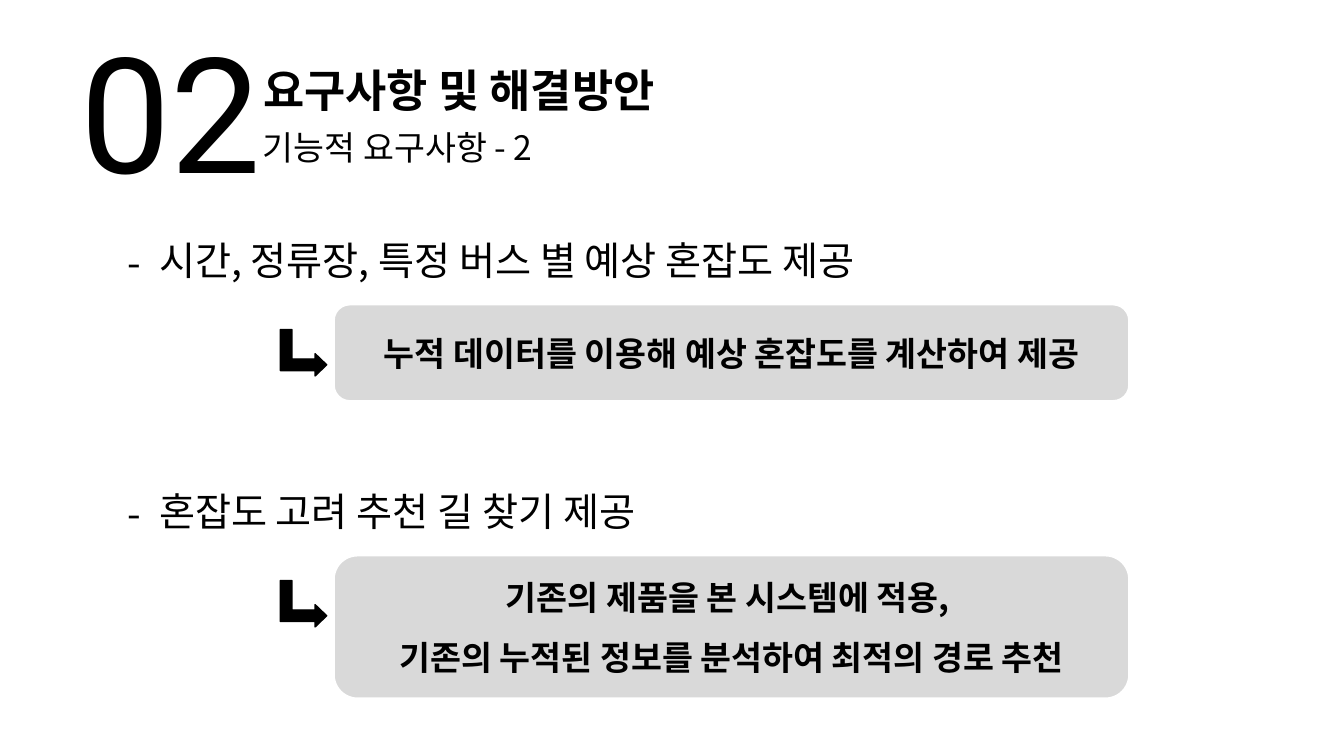
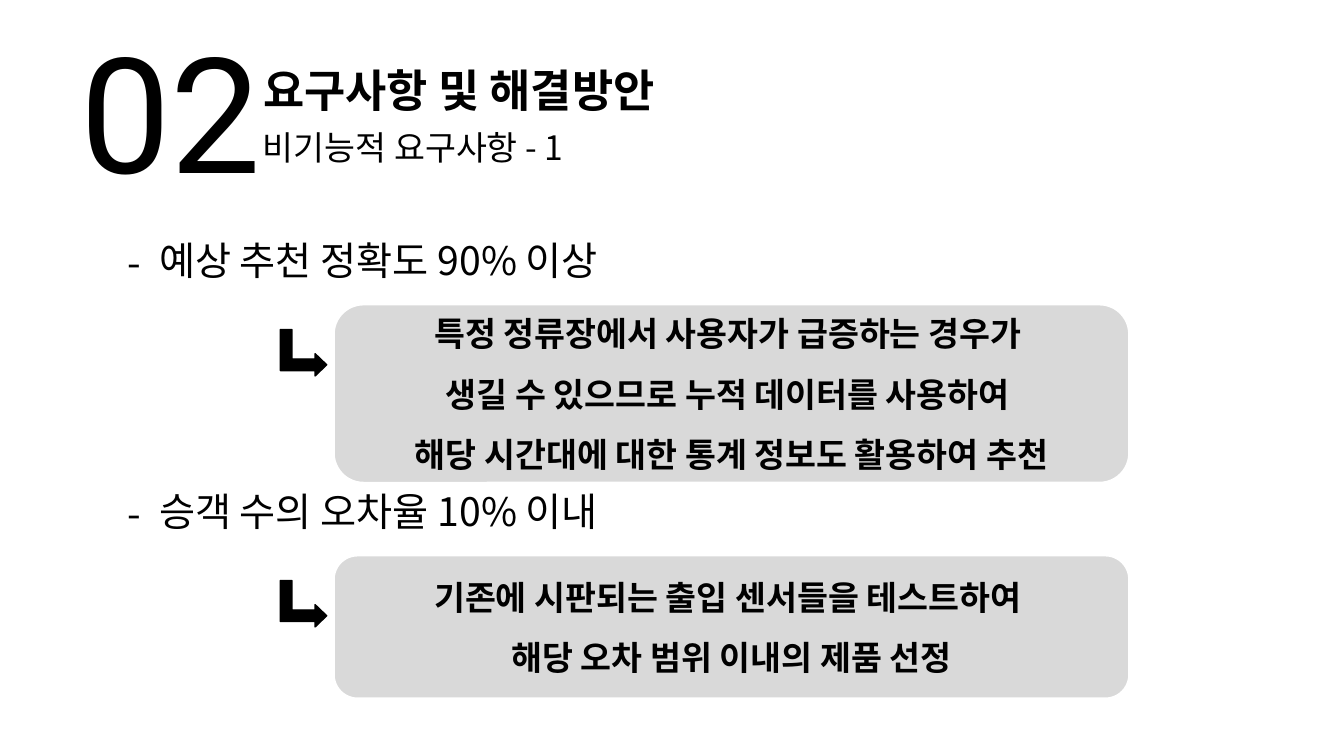
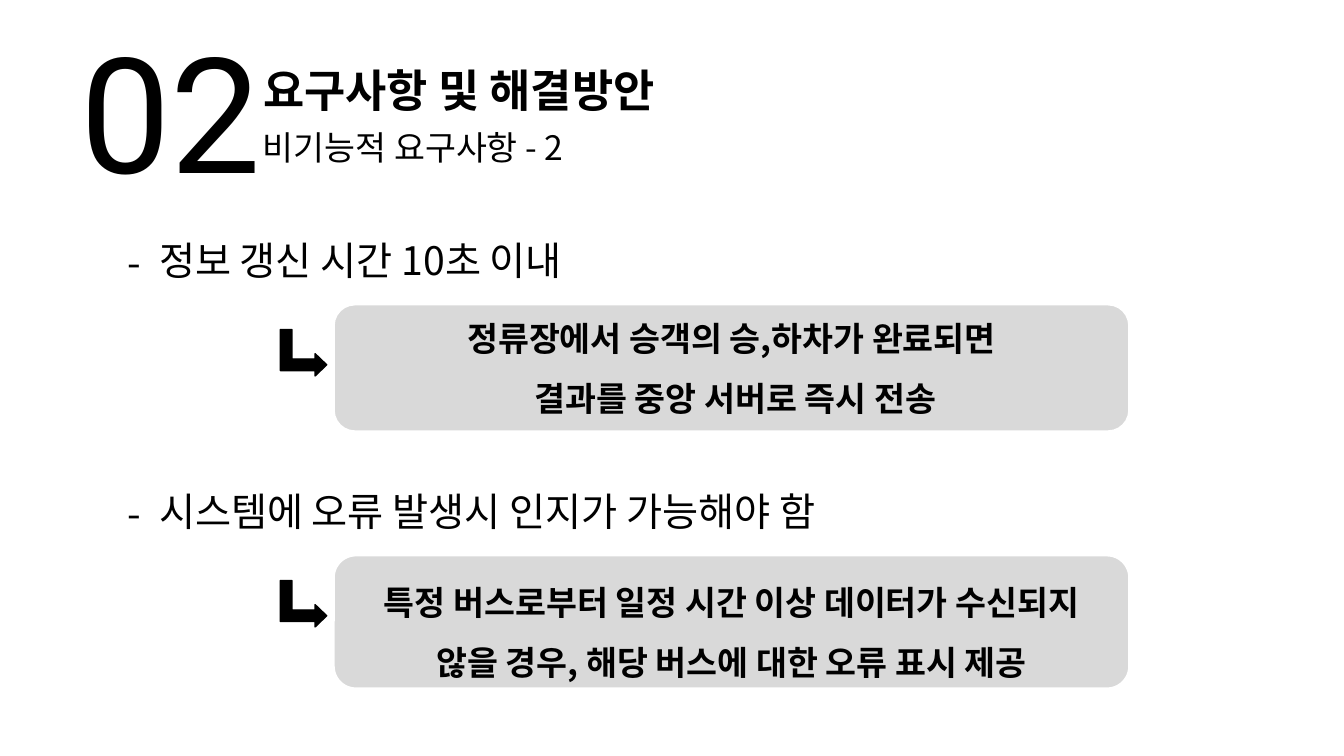
"""Build three slides that pair requirements with their solutions."""
from dataclasses import dataclass

from lxml import etree
from pptx import Presentation
from pptx import util as u
from pptx.dml.color import RGBColor
from pptx.enum import shapes, text
from pptx.oxml import ns

KOREAN = "Noto Sans CJK KR"
DIGITS = "Roboto"
BLACK, GREY, WHITE = "000000", "D9D9D9", "FFFFFF"
SECTION = "02"
HEADING = "요구사항 및 해결방안"
FIRST_TOP, ROW_STEP = 2.3, 2.49
INDENT = 0.31


@dataclass(frozen=True)
class Requirement:
    demand: str
    solution: tuple[str, ...]
    height: float
    first_spacing: float | None = None


@dataclass(frozen=True)
class Page:
    subtitle: str
    requirements: tuple[Requirement, ...]


PAGES = (
    Page("기능적 요구사항 - 2", (
        Requirement("시간, 정류장, 특정 버스 별 예상 혼잡도 제공",
                    ("누적 데이터를 이용해 예상 혼잡도를 계산하여 제공",), 0.96),
        Requirement("혼잡도 고려 추천 길 찾기 제공",
                    ("기존의 제품을 본 시스템에 적용, ",
                     "기존의 누적된 정보를 분석하여 최적의 경로 추천"), 1.42),
    )),
    Page("비기능적 요구사항 - 1", (
        Requirement("예상 추천 정확도 90% 이상",
                    ("특정 정류장에서 사용자가 급증하는 경우가 ",
                     "생길 수 있으므로 누적 데이터를 사용하여 ",
                     "해당 시간대에 대한 통계 정보도 활용하여 추천"), 1.77),
        Requirement("승객 수의 오차율 10% 이내",
                    ("기존에 시판되는 출입 센서들을 테스트하여 ",
                     "해당 오차 범위 이내의 제품 선정"), 1.42),
    )),
    Page("비기능적 요구사항 - 2", (
        Requirement("정보 갱신 시간 10초 이내",
                    ("정류장에서 승객의 승,하차가 완료되면",
                     " 결과를 중앙 서버로 즉시 전송"), 1.26),
        Requirement("시스템에 오류 발생시 인지가 가능해야 함",
                    ("특정 버스로부터 일정 시간 이상 데이터가 수신되지 않을 경우, "
                     "해당 버스에 대한 오류 표시 제공",), 1.32, 1.5),
    )),
)


def paint(color_format, color: str) -> None:
    """Set a colour from a hex string."""
    color_format.rgb = RGBColor.from_string(color)


def apply(target, values: dict) -> None:
    """Set each named attribute on the target."""
    for name, value in values.items():
        setattr(target, name, value)


def place(shape, left: float, top: float, width: float, height: float) -> None:
    """Move and size a shape, in inches."""
    apply(shape, {"left": u.Inches(left), "top": u.Inches(top),
                  "width": u.Inches(width), "height": u.Inches(height)})


def write(paragraph, words: str, size: float, bold: bool = False,
          face: str = KOREAN, align=text.PP_ALIGN.LEFT,
          spacing: float | None = None) -> None:
    """Write one formatted run into a paragraph."""
    apply(paragraph, {"alignment": align, "line_spacing": spacing})
    run = paragraph.add_run()
    run.text = words
    apply(run.font, {"size": u.Pt(size), "bold": bold, "name": face})
    paint(run.font.color, BLACK)
    east_asian = etree.SubElement(run.font._element, ns.qn("a:ea"))
    east_asian.set("typeface", face)


def set_frame(shape, wrap: bool = True):
    """Give a text shape top anchoring and fitting, and return its paragraph."""
    apply(shape.text_frame, {"word_wrap": wrap,
                             "vertical_anchor": text.MSO_ANCHOR.TOP,
                             "auto_size": text.MSO_AUTO_SIZE.SHAPE_TO_FIT_TEXT})
    return shape.text_frame.paragraphs[0]


def add_label(slide, box: tuple[float, float, float, float], wrap: bool = True):
    """Add a text box and return its first paragraph."""
    label = slide.shapes.add_textbox(*map(u.Inches, box))
    return set_frame(label, wrap)


def add_dash(paragraph) -> None:
    """Give a paragraph a hanging dash bullet."""
    properties = paragraph._p.get_or_add_pPr()
    properties.set("marL", str(u.Inches(INDENT)))
    properties.set("indent", str(-u.Inches(INDENT)))
    etree.SubElement(properties, ns.qn("a:buFont")).set("typeface", KOREAN)
    etree.SubElement(properties, ns.qn("a:buChar")).set("char", "-")


def add_block(slide, preset, box: tuple[float, float, float, float],
              fill: str, line: str, weight: float):
    """Add a filled and outlined preset shape."""
    block = slide.shapes.add_shape(preset, *map(u.Inches, box))
    block.shadow.inherit = False
    block.fill.solid()
    paint(block.fill.fore_color, fill)
    paint(block.line.color, line)
    block.line.width = u.Pt(weight)
    return block


def add_header(slide, subtitle: str) -> None:
    """Draw the section number, title and subtitle."""
    write(add_label(slide, (0.7, 0.08, 2.04, 2.04), False), SECTION, 115, face=DIGITS)
    title = slide.shapes.title
    place(title, 2.51, 0.57, 7.05, 0.64)
    write(set_frame(title), HEADING, 32, True)
    write(add_label(slide, (2.51, 1.21, 6.29, 0.5)), subtitle, 24)


def add_requirement(slide, requirement: Requirement, top: float) -> None:
    """Draw a demand with an arrow to its solution."""
    demand = add_label(slide, (1.17, top, 9, 0.57))
    write(demand, requirement.demand, 28)
    add_dash(demand)

    arrow = add_block(slide, shapes.MSO_SHAPE.BENT_UP_ARROW,
                      (2.78, top + 0.97, 0.46, 0.46), BLACK, BLACK, 1)
    arrow.rotation = 90
    for index, value in enumerate((0.25, 0.24, 0.25)):
        arrow.adjustments[index] = value

    solution = add_block(slide, shapes.MSO_SHAPE.ROUNDED_RECTANGLE,
                         (3.31, top + 0.72, 7.89, requirement.height),
                         GREY, WHITE, 1.5)
    frame = solution.text_frame
    apply(frame, {"word_wrap": True, "vertical_anchor": text.MSO_ANCHOR.MIDDLE})
    for index, line in enumerate(requirement.solution):
        paragraph = frame.add_paragraph() if index else frame.paragraphs[0]
        write(paragraph, line, 24, True, align=text.PP_ALIGN.CENTER,
              spacing=1.5 if index else requirement.first_spacing)


def main() -> None:
    """Build and save the deck."""
    deck = Presentation()
    apply(deck, {"slide_width": u.Inches(13.33), "slide_height": u.Inches(7.5)})
    for page in PAGES:
        slide = deck.slides.add_slide(deck.slide_layouts[5])
        add_header(slide, page.subtitle)
        for row, requirement in enumerate(page.requirements):
            add_requirement(slide, requirement, FIRST_TOP + row * ROW_STEP)
    deck.save("out.pptx")


if __name__ == "__main__":
    main()
